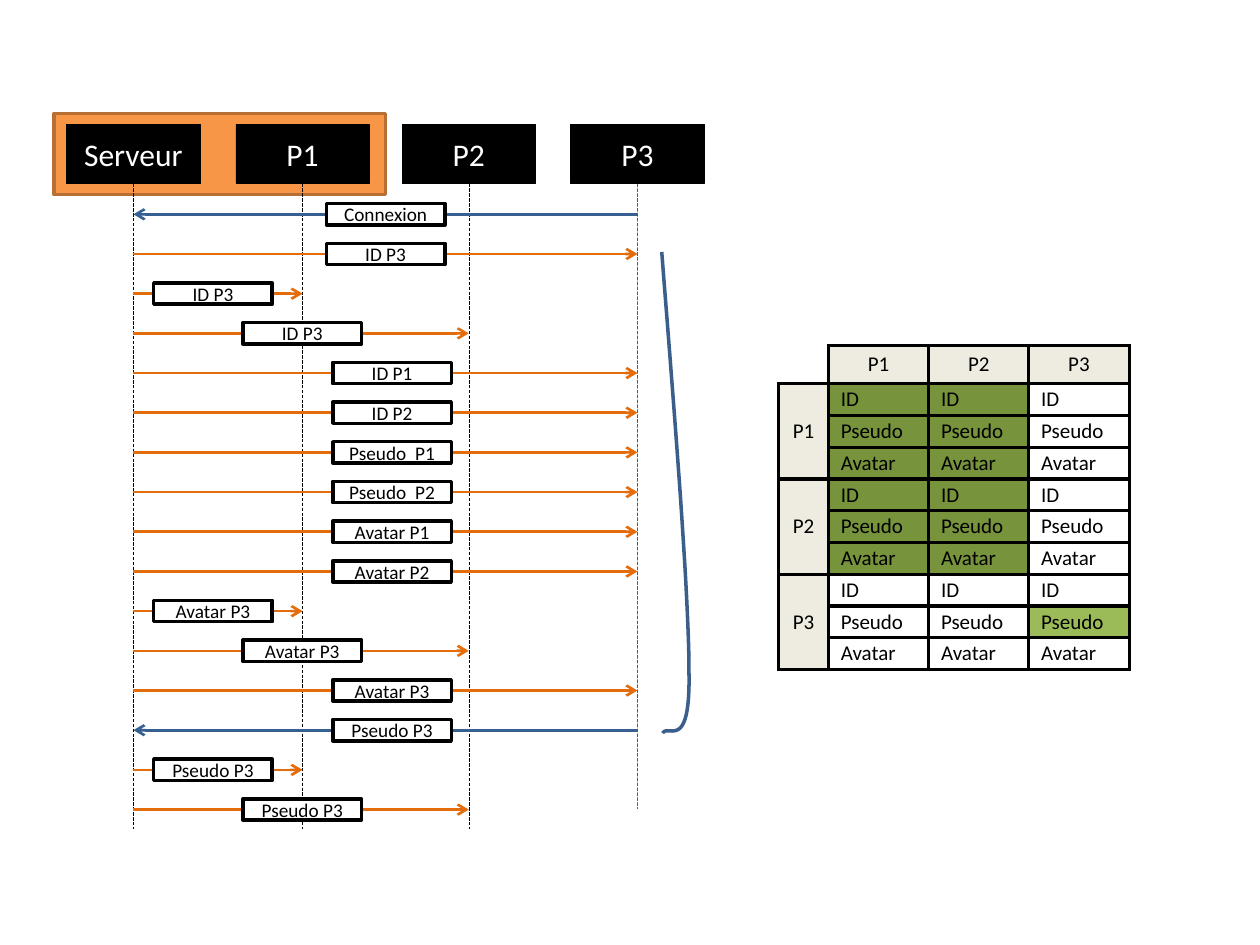
from dataclasses import dataclass

from lxml.etree import SubElement
from pptx import Presentation
from pptx.dml.color import RGBColor
from pptx.enum.dml import MSO_LINE
from pptx.enum.shapes import MSO_CONNECTOR, MSO_SHAPE
from pptx.enum.text import MSO_ANCHOR, PP_ALIGN
from pptx.oxml import parse_xml
from pptx.oxml.ns import nsdecls, qn
from pptx.util import Cm, Pt


@dataclass(frozen=True)
class Theme:
    font: str = "Calibri"
    black: str = "000000"
    white: str = "FFFFFF"
    host: str = "F79646"
    host_edge: str = "B76F34"
    from_server: str = "E46C0A"
    to_server: str = "376092"
    brace: str = "3A5F8C"
    header: str = "EEECE1"
    known: str = "77933C"
    entered: str = "9BBB59"
    actor_size: int = 18
    label_size: int = 11
    table_size: int = 12
    hairline: float = 0.25
    arrow: float = 1.5
    border: float = 2


THEME = Theme()

# Lengths in centimetres
LIFELINES = {"Serveur": 2.69, "P1": 6.1, "P2": 9.45, "P3": 12.85}
LIFELINE_ENDS = {"Serveur": 16.71, "P1": 16.71, "P2": 16.71, "P3": 16.31}
ACTOR_TOP, ACTOR_WIDTH, ACTOR_HEIGHT = 2.51, 2.69, 1.19
FIRST_MESSAGE, MESSAGE_STEP = 4.32, 0.8
LABEL_WIDTH, LABEL_HEIGHT = 2.39, 0.43
LABEL_LEFTS = {"P1": 3.1, "P2": 4.9, "P3": 6.71}

# Text, player at the far end, whether the player sends it
MESSAGES = [
    ("Connexion", "P3", True),
    ("ID P3", "P3", False),
    ("ID P3", "P1", False),
    ("ID P3", "P2", False),
    ("ID P1", "P3", False),
    ("ID P2", "P3", False),
    ("Pseudo  P1", "P3", False),
    ("Pseudo  P2", "P3", False),
    ("Avatar P1", "P3", False),
    ("Avatar P2", "P3", False),
    ("Avatar P3", "P1", False),
    ("Avatar P3", "P2", False),
    ("Avatar P3", "P3", False),
    ("Pseudo P3", "P3", True),
    ("Pseudo P3", "P1", False),
    ("Pseudo P3", "P2", False),
]
PLAYERS = ["P1", "P2", "P3"]
FIELDS = ["ID", "Pseudo", "Avatar"]

BRACE_CURVES = [
    [(13.34, 5.08), (13.61, 8.51), (13.89, 11.96), (13.89, 13.56)],
    [(13.89, 13.56), (13.92, 15.19), (13.46, 14.58), (13.36, 14.78)],
]


def rgb(color):
    return RGBColor.from_string(color)


def write(frame, text, size, color=THEME.black, align=PP_ALIGN.CENTER):
    para = frame.paragraphs[0]
    para.alignment = align
    span = para.add_run()
    span.text = text
    span.font.name = THEME.font
    span.font.size = Pt(size)
    span.font.color.rgb = rgb(color)


def add_box(page, left, top, width, height, fill, edge, weight):
    box = page.shapes.add_shape(
        MSO_SHAPE.RECTANGLE, Cm(left), Cm(top), Cm(width), Cm(height))
    box.shadow.inherit = False
    box.fill.solid()
    box.fill.fore_color.rgb = rgb(fill)
    box.line.color.rgb = rgb(edge)
    box.line.width = Pt(weight)
    frame = box.text_frame
    frame.vertical_anchor = MSO_ANCHOR.MIDDLE
    frame.margin_top = frame.margin_bottom = 0
    return box


def add_line(page, start, end, color, weight, dash=None, arrow=False):
    line = page.shapes.add_connector(
        MSO_CONNECTOR.STRAIGHT, *(Cm(length) for length in (*start, *end)))
    line.line.color.rgb = rgb(color)
    line.line.width = Pt(weight)
    if dash:
        line.line.dash_style = dash
    if arrow:
        SubElement(line.line._get_or_add_ln(), qn("a:tailEnd"), type="arrow")
    SubElement(line._element.spPr, qn("a:effectLst"))
    return line


def add_actor(page, name):
    center = LIFELINES[name]
    box = add_box(page, center - ACTOR_WIDTH / 2, ACTOR_TOP, ACTOR_WIDTH,
                  ACTOR_HEIGHT, THEME.black, THEME.black, THEME.hairline)
    write(box.text_frame, name, THEME.actor_size, color=THEME.white)
    lifeline = add_line(
        page, (center, ACTOR_TOP + ACTOR_HEIGHT), (center, LIFELINE_ENDS[name]),
        THEME.black, THEME.hairline, dash=MSO_LINE.LONG_DASH)
    lifeline.begin_connect(box, 2)


def add_message(page, row, text, player, to_server):
    height = FIRST_MESSAGE + row * MESSAGE_STEP
    start, end = (LIFELINES["Serveur"], height), (LIFELINES[player], height)
    color = THEME.from_server
    if to_server:
        start, end, color = end, start, THEME.to_server
    add_line(page, start, end, color, THEME.arrow, arrow=True)
    left = 6.58 if row < 2 else LABEL_LEFTS[player]
    label = add_box(page, left, height - LABEL_HEIGHT / 2, LABEL_WIDTH,
                    LABEL_HEIGHT, THEME.white, THEME.black, THEME.border)
    write(label.text_frame, text, THEME.label_size)


def curve_points(controls, steps=24):
    """Points along a cubic Bezier curve."""
    for step in range(steps + 1):
        t = step / steps
        weights = ((1 - t) ** 3, 3 * t * (1 - t) ** 2, 3 * t ** 2 * (1 - t), t ** 3)
        yield tuple(Cm(sum(weight * point[axis]
                           for weight, point in zip(weights, controls)))
                    for axis in (0, 1))


def add_brace(page):
    points = [point for curve in BRACE_CURVES for point in curve_points(curve)]
    builder = page.shapes.build_freeform(*points[0])
    builder.add_line_segments(points[1:], close=False)
    brace = builder.convert_to_shape()
    brace.shadow.inherit = False
    brace.fill.background()
    brace.line.color.rgb = rgb(THEME.brace)
    brace.line.width = Pt(THEME.border)


def set_borders(cell, sides="LRTB"):
    properties = cell._tc.get_or_add_tcPr()
    for position, side in enumerate(sides):
        properties.insert(position, parse_xml(
            f'<a:ln{side} {nsdecls("a")} w="{Pt(THEME.border)}"><a:solidFill>'
            f'<a:srgbClr val="{THEME.black}"/></a:solidFill></a:ln{side}>'))


def fill_cell(cell, text, fill, align=PP_ALIGN.CENTER):
    cell.fill.solid()
    cell.fill.fore_color.rgb = rgb(fill)
    write(cell.text_frame, text, THEME.table_size, align=align)


def field_fill(owner, field, viewer):
    if "P3" not in (owner, viewer):
        return THEME.known
    if (owner, field, viewer) == ("P3", "Pseudo", "P3"):
        return THEME.entered
    return THEME.white


def add_knowledge_table(page):
    """What each player (column) knows about each player (row group)."""
    table = page.shapes.add_table(
        10, 4, Cm(15.7), Cm(6.96), Cm(7.06), Cm(6.53)).table
    table.first_row = table.horz_banding = False
    for index, column in enumerate(table.columns):
        column.width = Cm(2.02 if index else 1)
    for index, row in enumerate(table.rows):
        row.height = Cm(0.64 if index else 0.77)
    for cell in table.iter_cells():
        cell.vertical_anchor = MSO_ANCHOR.MIDDLE
        cell.margin_top = cell.margin_bottom = 0
        cell.margin_left = cell.margin_right = Cm(0.25)
        set_borders(cell, "RB" if cell is table.cell(0, 0) else "LRTB")
    corner = table.cell(0, 0)
    corner.fill.background()
    for side in ("a:lnL", "a:lnT"):
        for border in corner._tc.tcPr.findall(qn(side)):
            corner._tc.tcPr.remove(border)
    for group, owner in enumerate(PLAYERS):
        fill_cell(table.cell(0, group + 1), owner, THEME.header)
        top = 1 + group * len(FIELDS)
        heading = table.cell(top, 0)
        heading.merge(table.cell(top + len(FIELDS) - 1, 0))
        heading.margin_left = heading.margin_right = 0
        fill_cell(heading, owner, THEME.header)
        for offset, field in enumerate(FIELDS):
            for column, viewer in enumerate(PLAYERS, 1):
                fill_cell(table.cell(top + offset, column), field,
                          field_fill(owner, field, viewer), align=PP_ALIGN.LEFT)


def main():
    deck = Presentation()
    deck.slide_width, deck.slide_height = Cm(25.4), Cm(19.05)
    page = deck.slides.add_slide(deck.slide_layouts[6])
    add_box(page, 1.09, 2.29, 6.68, 1.63, THEME.host, THEME.host_edge, THEME.border)
    for name in LIFELINES:
        add_actor(page, name)
    for row, message in enumerate(MESSAGES):
        add_message(page, row, *message)
    add_brace(page)
    add_knowledge_table(page)
    deck.save("out.pptx")


if __name__ == "__main__":
    main()
